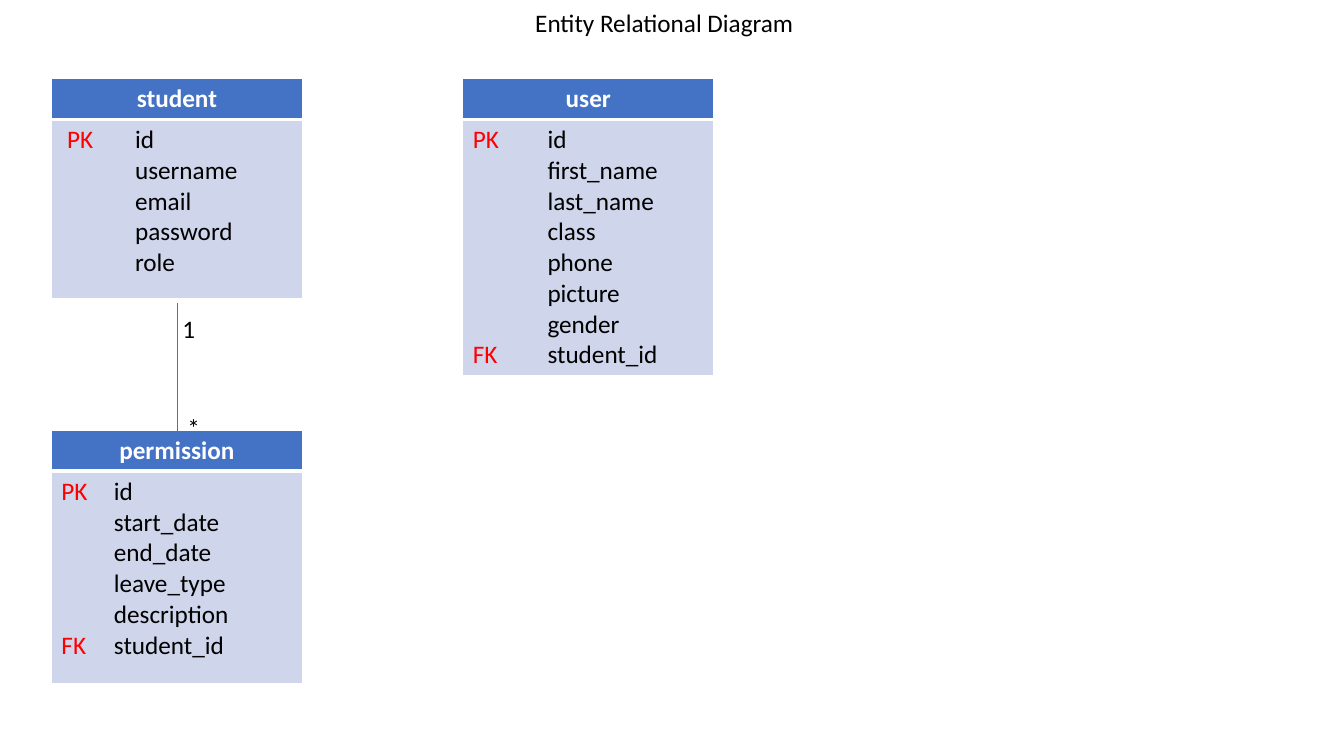
from dataclasses import dataclass

from lxml import etree
from pptx import Presentation
from pptx import util as u
from pptx.dml.color import RGBColor
from pptx.enum import shapes, text
from pptx.oxml.ns import qn

FONT, SIZE = "Calibri", u.Pt(18)
BLACK, WHITE, RED = "000000", "FFFFFF", "FF0000"
HEADER_FILL, BODY_FILL = "4472C4", "CFD5EA"
ENTITY_WIDTH, HEADER_HEIGHT = 2.49, 0.4


@dataclass
class Field:
    name: str
    key: str = ""


@dataclass
class Entity:
    name: str
    left: float
    top: float
    body_height: float
    name_indent: float
    fields: list[Field]


@dataclass
class Label:
    words: str
    left: float
    top: float
    width: float


def rgb(color: str) -> RGBColor:
    return RGBColor.from_string(color)


def style(font, color: str, bold: bool = False) -> None:
    font.name, font.size, font.bold = FONT, SIZE, bold
    font.color.rgb = rgb(color)


def set_border(cell, side: str, points: float) -> None:
    line = etree.Element(qn(f"a:{side}"), w=str(u.Pt(points)))
    fill = etree.SubElement(line, qn("a:solidFill"))
    etree.SubElement(fill, qn("a:srgbClr"), val=WHITE)
    # Border lines come before the cell fill
    properties = cell._tc.get_or_add_tcPr()
    properties.insert(len(properties.findall("*")), line)


def style_cell(cell, fill: str, bottom: float, top: float) -> None:
    for side, points in (("lnL", 1), ("lnR", 1), ("lnT", top), ("lnB", bottom)):
        set_border(cell, side, points)
    cell.fill.solid()
    cell.fill.fore_color.rgb = rgb(fill)


def write_field(paragraph, field: Field, name_indent: float) -> None:
    style(paragraph.font, BLACK)
    properties = paragraph._p.get_or_add_pPr()
    indent = str(u.Inches(name_indent))
    if not field.key:
        properties.set("marL", indent)
        paragraph.add_run().text = field.name
        return
    tabs = etree.Element(qn("a:tabLst"))
    etree.SubElement(tabs, qn("a:tab"), pos=indent, algn="l")
    properties.insert(0, tabs)
    for words, color in ((field.key + "\t", RED), (field.name, BLACK)):
        run = paragraph.add_run()
        run.text = words
        style(run.font, color)


def draw_entity(slide, entity: Entity) -> None:
    table = slide.shapes.add_table(
        2, 1, u.Inches(entity.left), u.Inches(entity.top), u.Inches(ENTITY_WIDTH),
        u.Inches(HEADER_HEIGHT + entity.body_height)).table
    table.rows[0].height = u.Inches(HEADER_HEIGHT)
    table.rows[1].height = u.Inches(entity.body_height)
    header, body = table.cell(0, 0), table.cell(1, 0)
    style_cell(header, HEADER_FILL, bottom=3, top=1)
    style_cell(body, BODY_FILL, bottom=1, top=3)

    title = header.text_frame.paragraphs[0]
    title.text = entity.name
    title.alignment = text.PP_ALIGN.CENTER
    style(title.font, WHITE, bold=True)

    frame = body.text_frame
    for index, field in enumerate(entity.fields):
        paragraph = frame.add_paragraph() if index else frame.paragraphs[0]
        write_field(paragraph, field, entity.name_indent)


def draw_label(slide, label: Label) -> None:
    box = slide.shapes.add_textbox(
        u.Inches(label.left), u.Inches(label.top), u.Inches(label.width), u.Inches(0.4))
    box.text_frame.word_wrap = True
    box.text_frame.auto_size = text.MSO_AUTO_SIZE.SHAPE_TO_FIT_TEXT
    paragraph = box.text_frame.paragraphs[0]
    paragraph.text = label.words
    style(paragraph.font, BLACK)


def draw_relation(slide, x: float, top: float, bottom: float) -> None:
    line = slide.shapes.add_connector(
        shapes.MSO_CONNECTOR.STRAIGHT,
        u.Inches(x), u.Inches(top), u.Inches(x), u.Inches(bottom))
    line.line.color.rgb = rgb(HEADER_FILL)
    line.line.width = u.Pt(0.5)
    etree.SubElement(line._element.spPr, qn("a:effectLst"))


ENTITIES = [
    Entity("student", 0.51, 0.78, 1.78, 0.73, [
        Field("id", " PK"), Field("username"), Field("email"),
        Field("password"), Field("role")]),
    Entity("user", 4.59, 0.78, 2.51, 0.74, [
        Field("id", "PK"), Field("first_name"), Field("last_name"), Field("class"),
        Field("phone"), Field("picture"), Field("gender"), Field("student_id", "FK")]),
    Entity("permission", 0.51, 4.27, 2.11, 0.52, [
        Field("id", "PK"), Field("start_date"), Field("end_date"),
        Field("leave_type"), Field("description"), Field("student_id", "FK")]),
]
LABELS = [
    Label("Entity Relational Diagram", 5.21, 0.02, 3.09),
    Label("*", 1.76, 4.04, 0.32),
    Label("1", 1.71, 3.06, 0.32),
]

presentation = Presentation()
presentation.slide_width, presentation.slide_height = u.Inches(13.33), u.Inches(7.5)
slide = presentation.slides.add_slide(presentation.slide_layouts[6])

# Entities
for entity in ENTITIES:
    draw_entity(slide, entity)

# Student to permission, one to many
draw_relation(slide, x=1.76, top=3.01, bottom=4.33)

# Title and multiplicities
for label in LABELS:
    draw_label(slide, label)

presentation.save("out.pptx")
